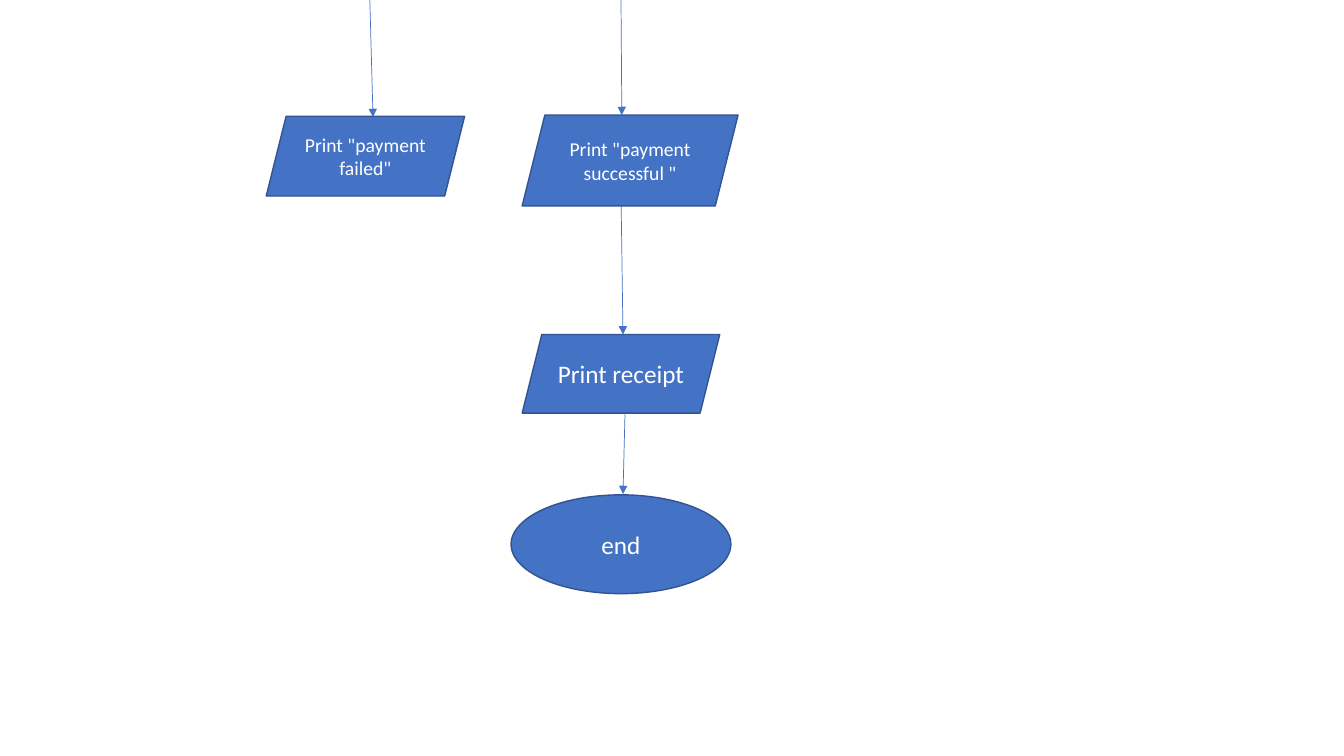
from dataclasses import dataclass

import pptx
import pptx.dml.color
import pptx.enum.shapes
import pptx.enum.text
import pptx.oxml
import pptx.oxml.ns
import pptx.slide
import pptx.util
from pptx.enum.shapes import MSO_SHAPE
from pptx.util import Cm

BLUE = pptx.dml.color.RGBColor(0x44, 0x72, 0xC4)
DARK_BLUE = pptx.dml.color.RGBColor(0x32, 0x54, 0x91)
WHITE = pptx.dml.color.RGBColor(0xFF, 0xFF, 0xFF)
FONT_NAME = "Calibri"


@dataclass(frozen=True)
class Step:
    text: str
    outline: MSO_SHAPE
    left: float
    top: float
    width: float
    height: float
    font_size: int


@dataclass(frozen=True)
class Arrow:
    begin_x: float
    begin_y: float
    end_x: float
    end_y: float


STEPS = [
    Step('Print "payment failed"', MSO_SHAPE.PARALLELOGRAM, 6.71, 2.93, 5.0, 2.01, 14),
    Step('Print "payment successful "', MSO_SHAPE.PARALLELOGRAM, 13.16, 2.9, 5.44, 2.29, 14),
    Step("Print receipt", MSO_SHAPE.PARALLELOGRAM, 13.16, 8.43, 4.98, 1.98, 18),
    Step("end", MSO_SHAPE.OVAL, 12.88, 12.47, 5.54, 2.49, 18),
]

ARROWS = [
    Arrow(9.32, 0, 9.4, 2.95),
    Arrow(15.65, 0, 15.67, 2.9),
    Arrow(15.65, 4.88, 15.7, 8.43),
    Arrow(15.75, 10.44, 15.7, 12.45),
]


def draw_arrow(slide: pptx.slide.Slide, arrow: Arrow) -> None:
    connector = slide.shapes.add_connector(
        pptx.enum.shapes.MSO_CONNECTOR.STRAIGHT,
        Cm(arrow.begin_x), Cm(arrow.begin_y), Cm(arrow.end_x), Cm(arrow.end_y),
    )
    connector.line.color.rgb = BLUE
    connector.line.width = pptx.util.Pt(0.5)
    properties = connector._element.spPr
    line = properties.find(pptx.oxml.ns.qn("a:ln"))
    namespace = pptx.oxml.ns.nsdecls("a")
    line.append(pptx.oxml.parse_xml(f'<a:tailEnd {namespace} type="triangle"/>'))
    properties.append(pptx.oxml.parse_xml(f"<a:effectLst {namespace}/>"))


def draw_step(slide: pptx.slide.Slide, step: Step) -> None:
    shape = slide.shapes.add_shape(
        step.outline, Cm(step.left), Cm(step.top), Cm(step.width), Cm(step.height)
    )
    shape.shadow.inherit = False
    shape.fill.solid()
    shape.fill.fore_color.rgb = BLUE
    shape.line.color.rgb = DARK_BLUE
    shape.line.width = pptx.util.Pt(1)
    text_frame = shape.text_frame
    text_frame.text = step.text
    text_frame.word_wrap = True
    text_frame.vertical_anchor = pptx.enum.text.MSO_ANCHOR.MIDDLE
    paragraph = text_frame.paragraphs[0]
    paragraph.alignment = pptx.enum.text.PP_ALIGN.CENTER
    font = paragraph.runs[0].font
    font.name = FONT_NAME
    font.size = pptx.util.Pt(step.font_size)
    font.color.rgb = WHITE


def main() -> None:
    presentation = pptx.Presentation()
    presentation.slide_width = Cm(33.87)
    presentation.slide_height = Cm(19.05)
    slide = presentation.slides.add_slide(presentation.slide_layouts[6])
    for arrow in ARROWS:
        draw_arrow(slide, arrow)
    for step in STEPS:
        draw_step(slide, step)
    presentation.save("out.pptx")


if __name__ == "__main__":
    main()
